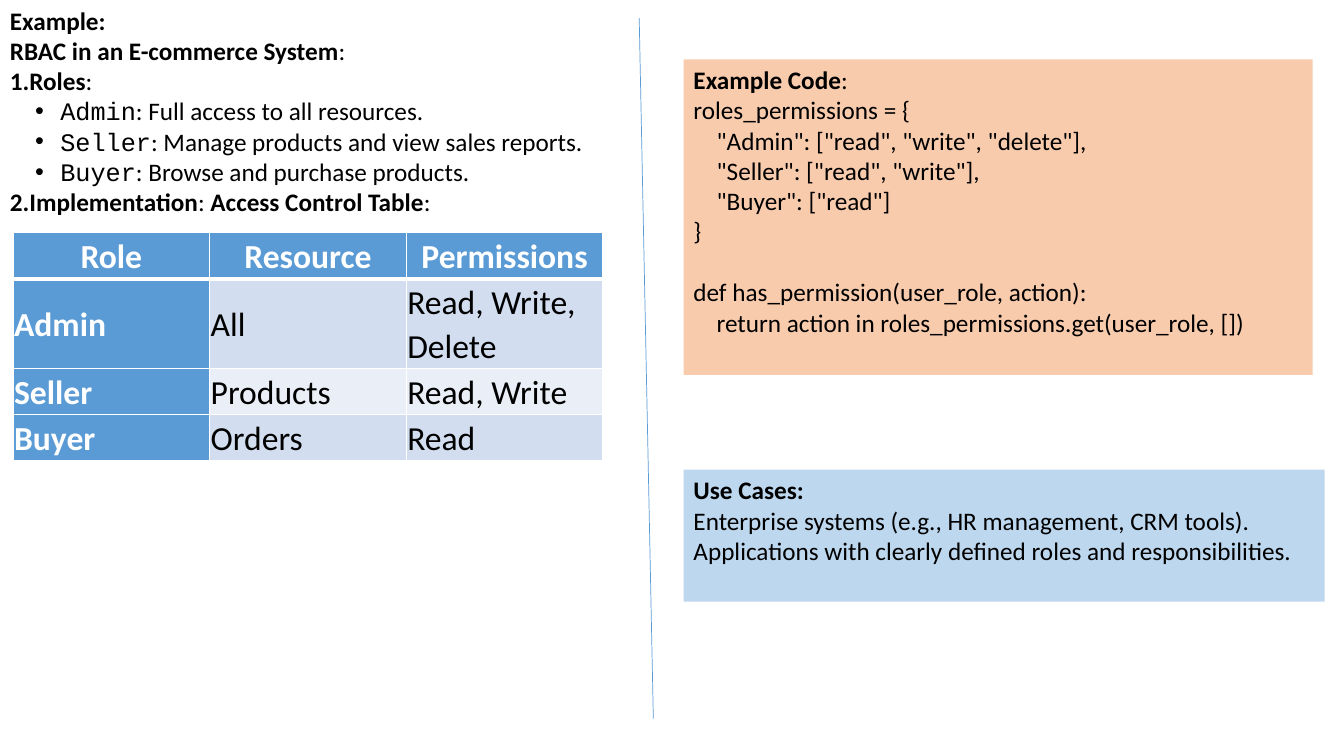
from lxml.etree import SubElement
from pptx import Presentation
from pptx.dml.color import RGBColor
from pptx.enum.shapes import MSO_CONNECTOR as CONN, MSO_SHAPE as SHAPE
from pptx.enum.text import MSO_ANCHOR as ANCHOR, PP_ALIGN as ALIGN
from pptx.oxml import parse_xml
from pptx.oxml.ns import nsdecls, qn
from pptx.util import Inches, Pt

COLORS = {
    "text": "000000",
    "white": "FFFFFF",
    "blue": "5B9BD5",
    "band": "D2DEEF",
    "pale": "EAEFF7",
    "code": "F8CBAD",
    "cases": "BDD7EE",
}
SANS, MONO = "Calibri", "Courier New"


def rgb(name):
    return RGBColor.from_string(COLORS[name])


def add_run(p, text, bold=False, size=18, color="text", font=SANS):
    r = p.add_run()
    r.text = text
    r.font.name = font
    r.font.size = Pt(size)
    r.font.bold = bold
    r.font.color.rgb = rgb(color)


def next_paragraph(tf):
    p = tf.paragraphs[0]
    return tf.add_paragraph() if p.runs else p


def set_indent(p, left, first=0):
    pPr = p._p.get_or_add_pPr()
    pPr.set("marL", str(Inches(left)))
    pPr.set("indent", str(Inches(first)))
    return pPr


def add_heading(tf, *parts):
    p = next_paragraph(tf)
    for text, bold in parts:
        add_run(p, text, bold)
    return p


def add_numbered(tf, number, *parts):
    pPr = set_indent(add_heading(tf, *parts), 0)
    SubElement(pPr, qn("a:buFont"), typeface="+mj-lt")
    SubElement(pPr, qn("a:buAutoNum"), type="arabicPeriod", startAt=str(number))


def add_role(tf, role, access):
    p = next_paragraph(tf)
    p.level = 1
    pPr = set_indent(p, 0.5, -0.25)
    SubElement(pPr, qn("a:buFont"), typeface="Arial")
    SubElement(pPr, qn("a:buChar"), char="•")
    add_run(p, role, font=MONO)
    add_run(p, access)


def add_line(tf, text, left=0, before=0):
    p = next_paragraph(tf)
    set_indent(p, left)
    p.space_before = Pt(before)
    add_run(p, text)


def add_panel(s, left, top, width, height, color):
    sp = s.shapes.add_shape(SHAPE.RECTANGLE, Inches(left), Inches(top), Inches(width), Inches(height))
    sp.shadow.inherit = False
    sp.fill.solid()
    sp.fill.fore_color.rgb = rgb(color)
    sp.line.fill.background()
    tf = sp.text_frame
    tf.word_wrap = True
    tf.vertical_anchor = ANCHOR.TOP
    return tf


def align_left(tf):
    for p in tf.paragraphs:
        p.alignment = ALIGN.LEFT


def set_borders(cell, bottom):
    tcPr = cell._tc.get_or_add_tcPr()
    widths = {"lnL": 1, "lnR": 1, "lnT": 1, "lnB": bottom}
    for i, (tag, width) in enumerate(widths.items()):
        tcPr.insert(i, parse_xml(
            f'<a:{tag} {nsdecls("a")} w="{Pt(width)}"><a:solidFill>'
            f'<a:srgbClr val="{COLORS["white"]}"/></a:solidFill></a:{tag}>'))


def fill_cell(cell, text, header, first_col, band):
    strong = header or first_col
    cell.margin_left = cell.margin_right = Inches(0.01)
    cell.margin_top = cell.margin_bottom = Inches(0.01)
    cell.vertical_anchor = ANCHOR.MIDDLE
    cell.fill.solid()
    cell.fill.fore_color.rgb = rgb("blue" if strong else band)
    set_borders(cell, 3 if header else 1)
    p = cell.text_frame.paragraphs[0]
    p.alignment = ALIGN.CENTER if header else ALIGN.LEFT
    p.line_spacing = 1.07
    add_run(p, text, strong, 24, "white" if strong else "text")


def add_access_table(s):
    rows = [
        ("Role", "Resource", "Permissions"),
        ("Admin", "All", "Read, Write, Delete"),
        ("Seller", "Products", "Read, Write"),
        ("Buyer", "Orders", "Read"),
    ]
    heights = [0.45, 0.88, 0.45, 0.45]
    table = s.shapes.add_table(
        len(rows), 3, Inches(0.13), Inches(2.31), Inches(5.84), Inches(sum(heights))).table
    for col in table.columns:
        col.width = Inches(1.95)
    for i, (row, height) in enumerate(zip(rows, heights)):
        table.rows[i].height = Inches(height)
        for j, text in enumerate(row):
            fill_cell(table.cell(i, j), text, i == 0, j == 0, "band" if i % 2 else "pale")


def add_example(s):
    tf = s.shapes.add_textbox(0, 0, Inches(6.12), Inches(2.52)).text_frame
    tf.word_wrap = True
    add_heading(tf, ("Example:", True))
    add_heading(tf, ("RBAC in an E-commerce System", True), (":", False))
    add_numbered(tf, 1, ("Roles", True), (":", False))
    add_role(tf, "Admin", ": Full access to all resources.")
    add_role(tf, "Seller", ": Manage products and view sales reports.")
    add_role(tf, "Buyer", ": Browse and purchase products.")
    add_numbered(tf, 2, ("Implementation", True), (": ", False),
                 ("Access Control Table", True), (":", False))


def add_code(s):
    tab = 0.23
    tf = add_panel(s, 6.78, 0.59, 6.24, 3.13, "code")
    add_heading(tf, ("Example Code", True), (":", False))
    add_line(tf, "roles_permissions = {")
    add_line(tf, '"Admin": ["read", "write", "delete"],', tab)
    add_line(tf, '"Seller": ["read", "write"],', tab)
    add_line(tf, '"Buyer": ["read"]', tab)
    add_line(tf, "}")
    add_line(tf, "def has_permission(user_role, action):", before=22)
    add_line(tf, "return action in roles_permissions.get(user_role, [])", tab)
    align_left(tf)


def add_use_cases(s):
    tf = add_panel(s, 6.78, 4.66, 6.36, 1.31, "cases")
    add_heading(tf, ("Use Cases:", True))
    add_line(tf, "Enterprise systems (e.g., HR management, CRM tools).")
    add_line(tf, "Applications with clearly defined roles and responsibilities.")
    align_left(tf)


def add_divider(s):
    line = s.shapes.add_connector(CONN.STRAIGHT, Inches(6.34), Inches(0.18), Inches(6.48), Inches(7.13))
    line.line.color.rgb = rgb("blue")
    line.line.width = Pt(0.5)
    SubElement(line._element.spPr, qn("a:effectLst"))


def main():
    prs = Presentation()
    prs.slide_width, prs.slide_height = Inches(13.33), Inches(7.5)
    s = prs.slides.add_slide(prs.slide_layouts[6])
    add_access_table(s)
    add_example(s)
    add_code(s)
    add_use_cases(s)
    add_divider(s)
    prs.save("out.pptx")


if __name__ == "__main__":
    main()
